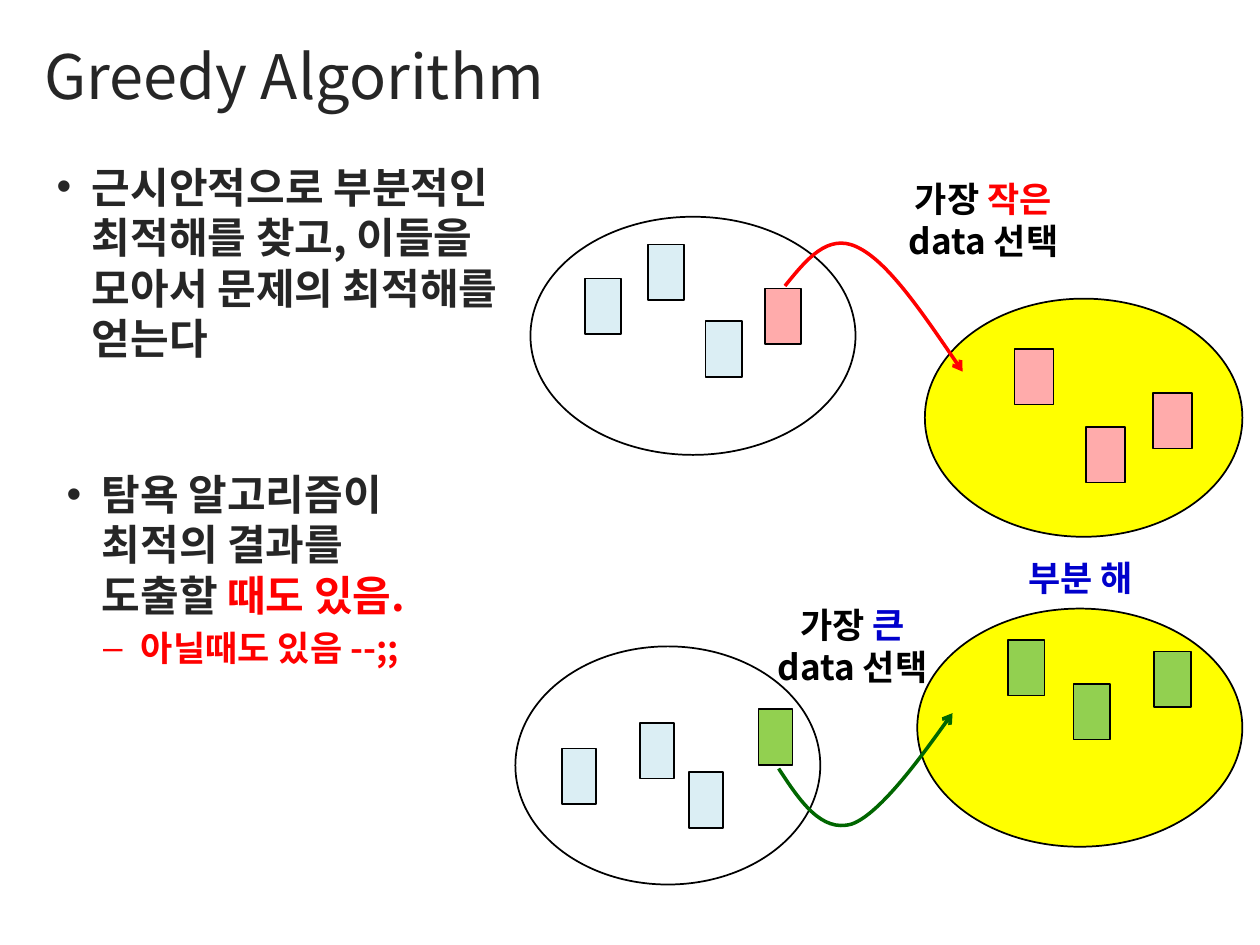
from lxml import etree
from pptx import Presentation
from pptx import util as u
from pptx.dml.color import RGBColor
from pptx.enum import shapes, text
from pptx.oxml.ns import qn

FACE = "Noto Sans CJK KR"
BLACK = RGBColor(0, 0, 0)
GRAY = RGBColor(0x26, 0x26, 0x26)
RED = RGBColor(0xFF, 0, 0)
BLUE = RGBColor(0, 0, 0xCC)
GREEN = RGBColor(0, 0x66, 0)
YELLOW = RGBColor(0xFF, 0xFF, 0)
PALE = RGBColor(0xDB, 0xEE, 0xF4)
PINK = RGBColor(0xFF, 0xAB, 0xAB)
LIME = RGBColor(0x92, 0xD0, 0x50)

LEFT, MID = text.PP_ALIGN.LEFT, text.PP_ALIGN.CENTER
OVAL, RECT = shapes.MSO_SHAPE.OVAL, shapes.MSO_SHAPE.RECTANGLE
ITEM_H = 0.44


def assign(obj, vals):
    for name, val in vals.items():
        setattr(obj, name, val)


def place(shape, box):
    names = ("left", "top", "width", "height")
    assign(shape, dict(zip(names, map(u.Inches, box))))


def write(par, runs, size, bold=True, align=LEFT, before=0):
    """Fill a paragraph with (wording, colour) runs."""
    assign(par, {"alignment": align, "space_before": u.Pt(before),
                 "line_spacing": u.Pt(size * 1.2)})
    for words, color in runs:
        run = par.add_run()
        run.text = words
        assign(run.font, {"size": u.Pt(size), "bold": bold, "name": FACE})
        run.font.color.rgb = color
        etree.SubElement(run.font._element, qn("a:ea"), typeface=FACE)


def bullet(par, mark, left, hang):
    props = par._p.get_or_add_pPr()
    props.set("marL", str(u.Inches(left)))
    props.set("indent", str(-u.Inches(hang)))
    etree.SubElement(props, qn("a:buFont"), typeface="Arial")
    etree.SubElement(props, qn("a:buChar"), char=mark)


def text_box(slide, box):
    frame = slide.shapes.add_textbox(*map(u.Inches, box)).text_frame
    frame.word_wrap = True
    return frame


def label(slide, box, lines):
    frame = text_box(slide, box)
    for i, runs in enumerate(lines):
        par = frame.add_paragraph() if i else frame.paragraphs[0]
        write(par, runs, 20, align=MID)


def draw(slide, kind, box, fill=None, weight=1):
    shape = slide.shapes.add_shape(kind, *map(u.Inches, box))
    shape.shadow.inherit = False
    if fill is None:
        shape.fill.background()
    else:
        shape.fill.solid()
        shape.fill.fore_color.rgb = fill
    shape.line.color.rgb = BLACK
    shape.line.width = u.Pt(weight)


def data_set(slide, oval, fill, width, items, weight=1):
    """An oval holding data items, each given as left, top, colour."""
    draw(slide, OVAL, oval, fill)
    for x, y, color in items:
        draw(slide, RECT, (x, y, width, ITEM_H), color, weight)


def curve(slide, points, color):
    """An arrow along cubic curves: a start, then three points per curve."""
    pts = [(u.Inches(x), u.Inches(y)) for x, y in points]
    form = slide.shapes.build_freeform(*pts[0])
    form.add_line_segments(pts[1:], close=False)
    shape = form.convert_to_shape()
    shape.shadow.inherit = False
    shape.fill.background()
    shape.line.color.rgb = color
    shape.line.width = u.Pt(2)
    # Join each three straight steps into one cubic curve
    steps = list(shape._element.iter(qn("a:lnTo")))
    for i in range(0, len(steps), 3):
        steps[i].tag = qn("a:cubicBezTo")
        for step in steps[i + 1:i + 3]:
            steps[i].append(step[0])
            step.getparent().remove(step)
    etree.SubElement(shape.line._get_or_add_ln(), qn("a:tailEnd"),
                     type="arrow")


def heading(slide):
    title = slide.shapes.title
    place(title, (0, 0, 8.43, 0.91))
    frame = title.text_frame
    assign(frame, {"margin_left": u.Inches(0.35), "margin_top": u.Inches(0.28),
                   "margin_right": 0, "margin_bottom": 0, "word_wrap": False,
                   "auto_size": text.MSO_AUTO_SIZE.NONE,
                   "vertical_anchor": text.MSO_ANCHOR.MIDDLE})
    write(frame.paragraphs[0], [("Greedy Algorithm", GRAY)], 35, bold=False)


def points(slide):
    body = slide.placeholders[1]
    place(body, (0.35, 1.23, 3.71, 5.67))
    body.text_frame.auto_size = text.MSO_AUTO_SIZE.NONE
    par = body.text_frame.paragraphs[0]
    write(par, [("근시안적으로 부분적인 최적해를 찾고, 이들을 모아서 문제의 "
                 "최적해를 얻는다", GRAY)], 24, before=4)
    bullet(par, "•", 0.28, 0.28)

    frame = text_box(slide, (0.43, 3.67, 3.25, 2.13))
    par = frame.paragraphs[0]
    write(par, [("탐욕 알고리즘이 최적의 결과를 도출할 ", GRAY),
                ("때도 있음.", RED)], 24, before=4)
    bullet(par, "•", 0.28, 0.28)
    par = frame.add_paragraph()
    par.level = 1
    write(par, [("아닐때도 있음 --;;", RED)], 20, before=4)
    bullet(par, "–", 0.59, 0.3)


def main():
    deck = Presentation()
    deck.slide_width, deck.slide_height = u.Inches(10), u.Inches(7.5)
    slide = deck.slides.add_slide(deck.slide_layouts[1])
    heading(slide)
    points(slide)

    # Lower pair: choosing the largest
    data_set(slide, (4.09, 5.13, 2.42, 1.89), None, 0.27,
             [(4.46, 5.94, PALE), (5.47, 6.13, PALE), (5.08, 5.74, PALE),
              (6.02, 5.63, LIME)])
    data_set(slide, (7.28, 4.83, 2.58, 1.89), YELLOW, 0.29,
             [(8, 5.08, LIME), (8.52, 5.43, LIME), (9.16, 5.17, LIME)])

    # Upper pair: choosing the smallest
    data_set(slide, (7.34, 2.37, 2.52, 1.89), YELLOW, 0.31,
             [(9.15, 3.12, PINK), (8.05, 2.77, PINK), (8.62, 3.39, PINK)],
             0.75)
    data_set(slide, (4.21, 1.72, 2.58, 1.89), None, 0.29,
             [(6.07, 2.29, PINK), (5.6, 2.55, PALE), (5.14, 1.94, PALE),
              (4.64, 2.21, PALE)])

    # Labels
    for x, y, word, color in ((5.94, 4.74, "큰", BLUE),
                              (6.98, 1.36, "작은", RED)):
        label(slide, (x, y, 1.65, 0.77),
              [[("가장 ", BLACK), (word, color)], [("data 선택", BLACK)]])
    label(slide, (7.59, 4.37, 1.97, 0.44), [[("부분 해", BLUE)]])

    # Arrows from the chosen item to the partial solution
    curve(slide, [(6.18, 6.1), (6.35, 6.36), (6.52, 6.61), (6.76, 6.54),
                  (6.99, 6.46), (7.43, 5.84), (7.56, 5.66)], GREEN)
    curve(slide, [(6.23, 2.27), (6.4, 2.06), (6.57, 1.85), (6.8, 1.96),
                  (7.04, 2.07), (7.34, 2.51), (7.64, 2.95)], RED)

    deck.save("out.pptx")


if __name__ == "__main__":
    main()
